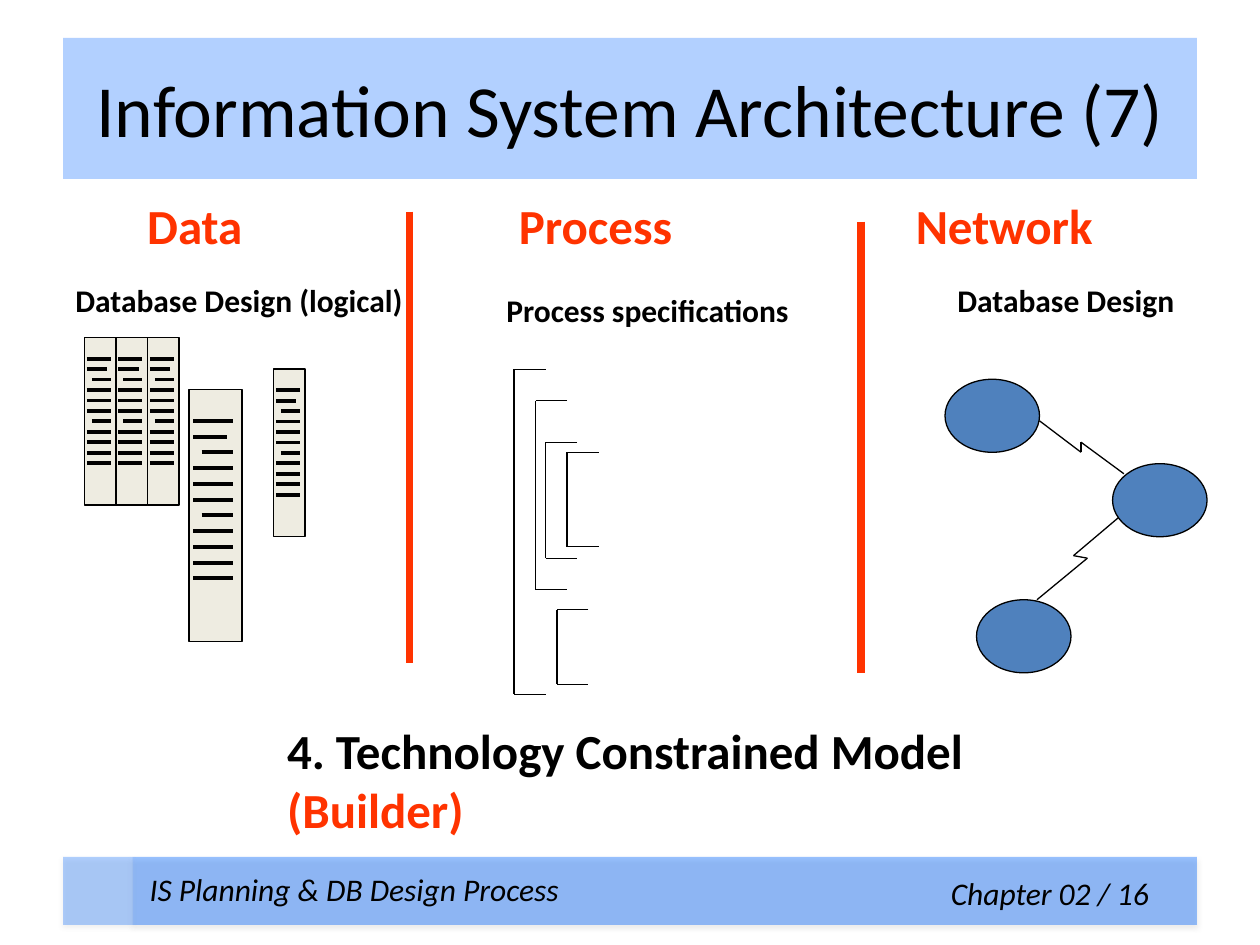
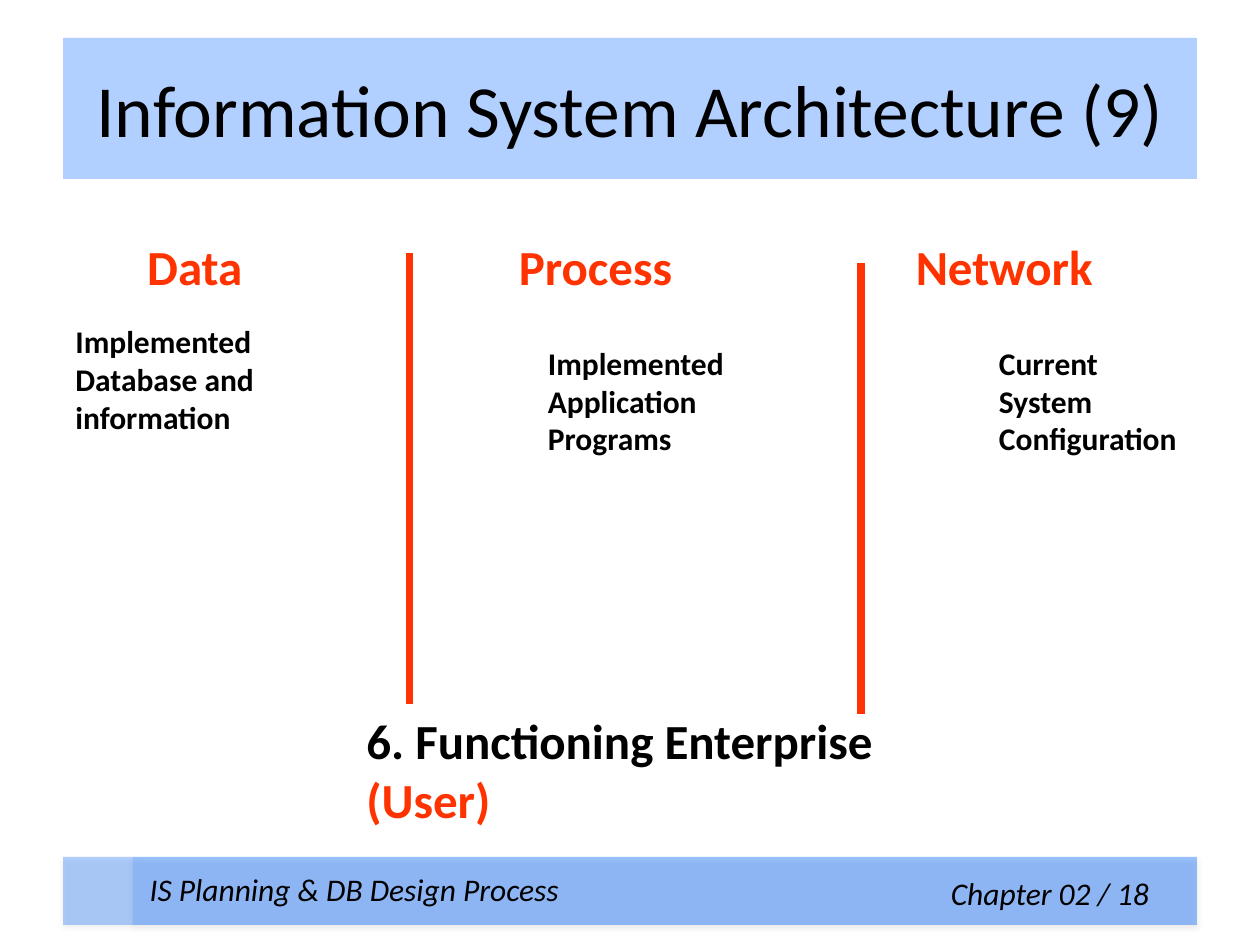
from lxml.etree import SubElement
from pptx import Presentation
from pptx.dml.color import RGBColor
from pptx.enum.shapes import MSO_CONNECTOR as Connector, MSO_SHAPE as Shape
from pptx.enum.text import MSO_ANCHOR as Anchor, PP_ALIGN as Align
from pptx.oxml.ns import qn
from pptx.util import Inches, Pt

BLACK = RGBColor(0x00, 0x00, 0x00)
BAND_BLUE = RGBColor(0x00, 0x66, 0xFF)
ACCENT_RED = RGBColor(0xFF, 0x33, 0x00)
PAPER = RGBColor(0xEE, 0xEC, 0xE1)
NODE_BLUE = RGBColor(0x4F, 0x81, 0xBD)
FONT = "Calibri"
COLUMN_NAMES = ("Data", "Process", "Network")
COLUMN_TABS = (2.95, 6.1)
ROW_COUNT = 11
SHORT_ROWS = (1,)
INDENTED_ROWS = (2, 6)


class SlideBuilder:
    def __init__(self, presentation):
        self.presentation = presentation
        self.slide = None

    def start(self, title, page):
        layout = self.presentation.slide_layouts.get_by_name("Title Only")
        self.slide = self.presentation.slides.add_slide(layout)
        heading = self.slide.shapes.title
        heading.left, heading.top = Inches(0.5), Inches(0.3)
        heading.width, heading.height = Inches(9), Inches(1.12)
        self.tint(heading, 30)
        frame = heading.text_frame
        frame.text = title
        frame.vertical_anchor = Anchor.MIDDLE
        frame.paragraphs[0].alignment = Align.CENTER
        self.format(frame.paragraphs[0], 42)

        self.band(1.05, 8.45, 40)
        self.band(0.5, 0.55, 30)
        self.text(1.09, 6.86, 3.66, 0.4, ["IS Planning & DB Design Process"], italic=True)
        page_box = self.text(5.25, 6.89, 4.25, 0.4, [f"Chapter 02 / {page}"], italic=True)
        page_box.text_frame.margin_right = Inches(0.38)
        page_box.text_frame.paragraphs[0].alignment = Align.RIGHT

    def tint(self, shape, opacity):
        """Fill with the band blue at a percentage of opacity."""
        shape.fill.solid()
        shape.fill.fore_color.rgb = BAND_BLUE
        color = shape.fill._xPr.find(qn("a:solidFill"))[0]
        SubElement(color, qn("a:alpha"), val=str(opacity * 1000))

    def band(self, left, width, opacity):
        band = self.shape(Shape.RECTANGLE, left, 6.8, width, 0.54, BAND_BLUE)
        self.tint(band, opacity)
        band.line.fill.background()
        effects = band._element.spPr.find(qn("a:effectLst"))
        shadow = SubElement(effects, qn("a:outerShdw"), blurRad=str(Pt(3.1)),
                            dist=str(Pt(1.6)), dir="5400000", rotWithShape="0")
        color = SubElement(shadow, qn("a:srgbClr"), val="808080")
        SubElement(color, qn("a:alpha"), val="38000")

    def format(self, paragraph, size, color=BLACK, bold=False, italic=False):
        for run in paragraph.runs:
            font = run.font
            font.name, font.size = FONT, Pt(size)
            font.bold, font.italic = bold, italic
            font.color.rgb = color

    def text(self, left, top, width, height, lines, size=18, **style):
        box = self.slide.shapes.add_textbox(
            Inches(left), Inches(top), Inches(width), Inches(height))
        frame = box.text_frame
        frame.word_wrap = True
        frame.text = "\n".join(lines)
        for paragraph in frame.paragraphs:
            self.format(paragraph, size, **style)
        return box

    def shape(self, kind, left, top, width, height, color):
        shape = self.slide.shapes.add_shape(
            kind, Inches(left), Inches(top), Inches(width), Inches(height))
        shape.shadow.inherit = False
        shape.fill.solid()
        shape.fill.fore_color.rgb = color
        shape.line.color.rgb = BLACK
        shape.line.width = Pt(0.75)
        return shape

    def lines(self, *points, color=BLACK, width=0.75):
        """Join consecutive points with straight lines."""
        for start, end in zip(points, points[1:]):
            line = self.slide.shapes.add_connector(
                Connector.STRAIGHT, *map(Inches, start + end))
            line.line.color.rgb = color
            line.line.width = Pt(width)
            SubElement(line._element.spPr, qn("a:effectLst"))

    def columns(self, top):
        """Draw the three column headings and the dividers between them."""
        box = self.text(1.07, top, 8.27, 0.57, ["\t".join(COLUMN_NAMES)],
                        size=28, color=ACCENT_RED, bold=True)
        properties = box.text_frame.paragraphs[0]._p.get_or_add_pPr()
        tabs = SubElement(properties, qn("a:tabLst"))
        for position in COLUMN_TABS:
            SubElement(tabs, qn("a:tab"), pos=str(Inches(position)), algn="l")
        for x, offset in ((3.25, 0.18), (6.83, 0.26)):
            self.lines((x, top + offset), (x, top + offset + 3.58),
                       color=ACCENT_RED, width=4.5)

    def caption(self, left, top, width, model, role):
        box = self.text(left, top, width, 1.03, [model, role], size=28, bold=True)
        box.text_frame.paragraphs[1].runs[0].font.color.rgb = ACCENT_RED

    def record(self, left, top, width, height):
        """Draw a sheet filled with rows of writing."""
        self.shape(Shape.RECTANGLE, left, top, width, height, PAPER)
        for row in range(ROW_COUNT):
            y = top + height * (row + 2) / 16
            start = left + width * (0.24 if row in INDENTED_ROWS else 0.08)
            end = left + width * (0.72 if row in SHORT_ROWS else 0.83)
            self.lines((start, y), (end, y), width=2.25)

    def bracket(self, left, top, bottom):
        right = left + 0.25
        self.lines((right, top), (left, top), (left, bottom), (right, bottom))

    def node(self, left, top):
        self.shape(Shape.OVAL, left, top, 0.75, 0.58, NODE_BLUE)


def build_technology_model(builder):
    builder.start("Information System Architecture (7)", 16)
    builder.columns(1.5)
    builder.caption(2.18, 5.67, 5.82, "4. Technology Constrained Model", "(Builder)")

    for index in range(3):
        builder.record(0.67 + 0.25 * index, 2.68, 0.25, 1.33)
    builder.record(1.5, 3.09, 0.42, 2)
    builder.record(2.17, 2.93, 0.25, 1.33)

    for left, top, width, label in (
            (0.5, 2.18, 2.9, "Database Design (logical)"),
            (3.92, 2.26, 2.5, "Process specifications"),
            (7.5, 2.18, 1.97, "Database Design")):
        builder.text(left, top, width, 0.4, [label], bold=True)

    for left, top, bottom in ((4.08, 2.93, 5.51), (4.25, 3.18, 4.68),
                              (4.33, 3.51, 4.43), (4.5, 3.59, 4.34),
                              (4.42, 4.84, 5.43)):
        builder.bracket(left, top, bottom)

    builder.node(7.5, 3.01)
    builder.node(7.75, 4.76)
    builder.lines((8.25, 3.34), (8.58, 3.59), (8.58, 3.51), (8.92, 3.76))
    builder.lines((8.23, 4.76), (8.63, 4.43), (8.52, 4.41), (8.91, 4.08))
    builder.node(8.83, 3.68)


def build_functioning_enterprise(builder):
    builder.start("Information System Architecture (9)", 18)
    builder.columns(1.83)
    builder.caption(2.81, 5.59, 4.47, "6. Functioning Enterprise", "(User)")
    for left, top, width, words in (
            (0.5, 2.51, 1.72, ["Implemented", "Database and", "information"]),
            (7.83, 2.68, 1.72, ["Current", "System", "Configuration"]),
            (4.25, 2.68, 1.62, ["Implemented", "Application", "Programs"])):
        builder.text(left, top, width, 1, words, bold=True)


def main():
    presentation = Presentation()
    presentation.slide_width, presentation.slide_height = Inches(10), Inches(7.5)
    builder = SlideBuilder(presentation)
    build_technology_model(builder)
    build_functioning_enterprise(builder)
    presentation.save("out.pptx")


if __name__ == "__main__":
    main()
